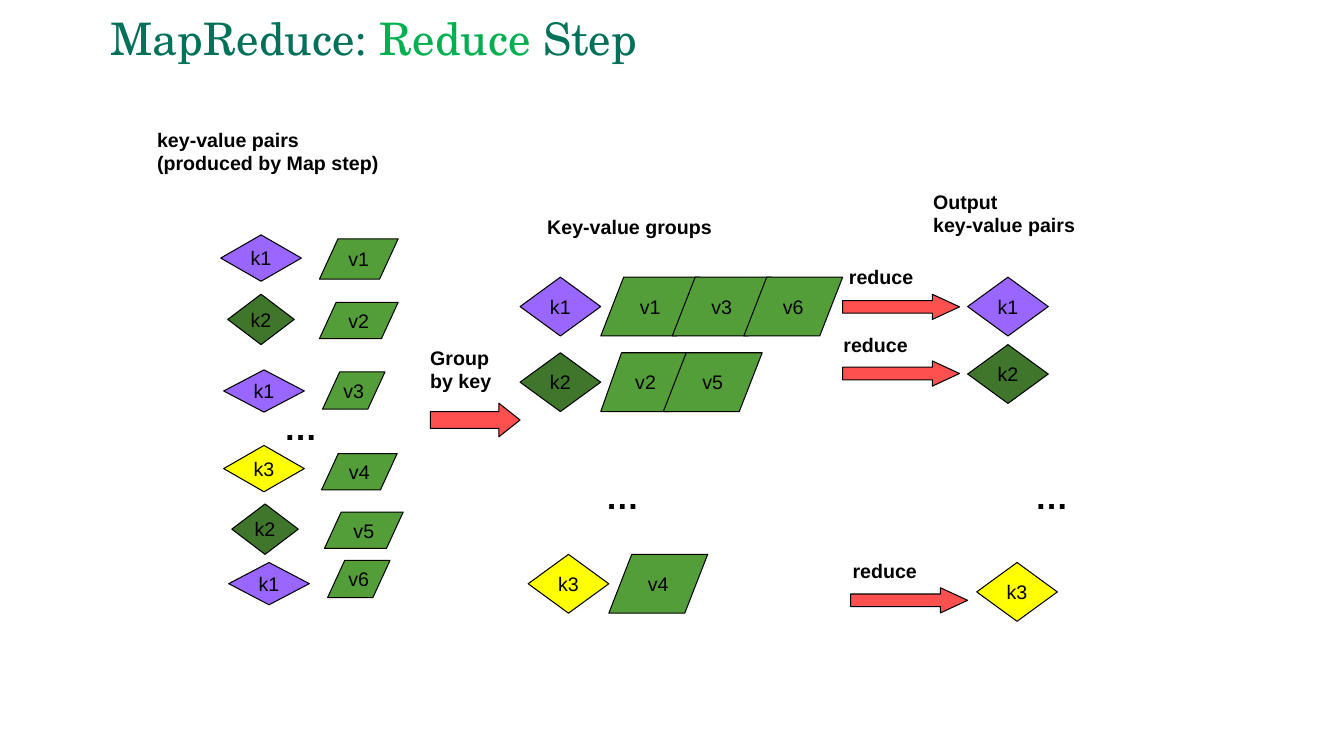
import pptx
import pptx.util
import pptx.dml.color
import pptx.enum.shapes
import pptx.enum.text

Pt = pptx.util.Pt
RGBColor = pptx.dml.color.RGBColor
MSO_SHAPE = pptx.enum.shapes.MSO_SHAPE
ANCHOR = pptx.enum.text.MSO_ANCHOR
ALIGN = pptx.enum.text.PP_ALIGN
AUTO_SIZE = pptx.enum.text.MSO_AUTO_SIZE

BLACK = RGBColor(0x00, 0x00, 0x00)
TEAL = RGBColor(0x02, 0x71, 0x59)
BRIGHT_GREEN = RGBColor(0x00, 0xB0, 0x50)
RED = RGBColor(0xFF, 0x50, 0x50)
VALUE_GREEN = RGBColor(0x54, 0x9E, 0x39)
PURPLE = RGBColor(0x99, 0x66, 0xFF)
DARK_GREEN = RGBColor(0x3F, 0x76, 0x2B)
YELLOW = RGBColor(0xFF, 0xFF, 0x00)
KEY_COLORS = {"k1": PURPLE, "k2": DARK_GREEN, "k3": YELLOW}

KEY_W, ROW_H = 57.6, 42
VALUE_W = 70.6

MAPPED_PAIRS = [
    ("k1", (157.7, 167.8, KEY_W, 33.1), "v1", (228.2, 170.6, 56.2, 28.8)),
    ("k2", (162.7, 210.2, 47.5, 36), "v2", (228.2, 216, 56.2, 25.9)),
    ("k1", (159.8, 264.2, KEY_W, 30.2), "v3", (230.4, 265.7, 44.6, 26.6)),
    ("k3", (159.8, 318.2, KEY_W, 33.1), "v4", (229.7, 324, 54, 25.9)),
    ("k2", (165.6, 360, 47.5, 36), "v5", (231.8, 365.8, 56.2, 25.9)),
    ("k1", (163.4, 401.8, KEY_W, 30.2), "v6", (234, 400.3, 44.6, 26.6)),
]
GROUPS = [
    ("k1", 371.5, 198, ["v1", "v3", "v6"], 51.1, VALUE_W),
    ("k2", 371.5, 252, ["v2", "v5"], 44.7, 64.1),
    ("k3", 377.3, 396, ["v4"], 0, VALUE_W),
]
REDUCTIONS = [
    ("k1", (691.2, 198), (601.9, 210.2), (599.3, 185.8)),
    ("k2", (691.2, 246.2), (601.9, 257.8), (595.4, 234)),
    ("k3", (697.7, 401.8), (607.7, 419.8), (601.9, 396)),
]
HEADINGS = [
    (["key-value pairs", "(produced by Map step)"], (105.1, 87.8, 266.4, 40.3)),
    (["Group", "by key"], (300.2, 243.4, 66, 40.3)),
    (["Key-value groups"], (383.8, 149.8, 198.7, 24)),
    (["Output", "key-value pairs"], (659.5, 131.8, 172.8, 40.3)),
]
ELLIPSES = [(195.8, 287.3), (425.5, 336.2), (732.2, 336.2)]


def add_run(p, text, size=14, color=BLACK, bold=False, name="Arial"):
    """Append a formatted run to a paragraph."""
    r = p.add_run()
    r.text = text
    r.font.color.rgb = color
    for key, value in {"size": Pt(size), "bold": bold, "name": name}.items():
        setattr(r.font, key, value)


def add_shape(s, kind, box, fill, adj=None, text=None):
    """Add an outlined shape with an optional centred label."""
    sp = s.shapes.add_shape(kind, *map(Pt, box))
    sp.shadow.inherit = False
    sp.fill.solid()
    sp.fill.fore_color.rgb = fill
    sp.line.color.rgb = BLACK
    sp.line.width = Pt(0.75)
    for i, value in enumerate(adj or []):
        sp.adjustments[i] = value
    if text:
        tf = sp.text_frame
        tf.word_wrap = False
        tf.vertical_anchor = ANCHOR.MIDDLE
        p = tf.paragraphs[0]
        p.alignment = ALIGN.CENTER
        add_run(p, text)


def add_key(s, text, box):
    """Add a key diamond in its key's colour."""
    add_shape(s, MSO_SHAPE.DIAMOND, box, KEY_COLORS[text], text=text)


def add_value(s, text, box, slant):
    """Add a value parallelogram."""
    add_shape(s, MSO_SHAPE.PARALLELOGRAM, box, VALUE_GREEN, [slant], text)


def add_arrow(s, box, head):
    """Add a red block arrow."""
    add_shape(s, MSO_SHAPE.RIGHT_ARROW, box, RED, [0.5, head])


def add_label(s, lines, box, size=14, wrap=False):
    """Add a bold text box with one paragraph per line."""
    tf = s.shapes.add_textbox(*map(Pt, box)).text_frame
    for key, value in {"word_wrap": wrap, "auto_size": AUTO_SIZE.SHAPE_TO_FIT_TEXT}.items():
        setattr(tf, key, value)
    for i, line in enumerate(lines):
        p = tf.add_paragraph() if i else tf.paragraphs[0]
        add_run(p, line, size, bold=True)


def add_title(s):
    """Add the three-part coloured title."""
    tf = s.shapes.add_textbox(Pt(72), Pt(7.9), Pt(777.6), Pt(42.5)).text_frame
    tf.word_wrap = True
    tf.vertical_anchor = ANCHOR.MIDDLE
    p = tf.paragraphs[0]
    p.line_spacing = 0.9
    for text, color in [("MapReduce: ", TEAL), ("Reduce ", BRIGHT_GREEN), ("Step", TEAL)]:
        add_run(p, text, 32, color, name="TeX Gyre Schola")


def main():
    """Build and save the slide."""
    prs = pptx.Presentation()
    prs.slide_width, prs.slide_height = Pt(960), Pt(540)
    s = prs.slides.add_slide(prs.slide_layouts[6])
    add_title(s)
    for lines, box in HEADINGS:
        add_label(s, lines, box, wrap=True)
    for key, key_box, value, value_box in MAPPED_PAIRS:
        add_key(s, key, key_box)
        add_value(s, value, value_box, 0.46)
    add_arrow(s, (307.4, 288, 64.1, 24), 0.63)
    for key, x, y, values, step, first_w in GROUPS:
        add_key(s, key, (x, y, KEY_W, ROW_H))
        for i, value in enumerate(values):
            w = VALUE_W if i else first_w
            add_value(s, value, (x + KEY_W + i * step, y, w, ROW_H), 0.39 * w / VALUE_W)
    for key, key_at, arrow_at, label_at in REDUCTIONS:
        add_arrow(s, (*arrow_at, 83.5, 18), 1.08)
        add_label(s, ["reduce"], (*label_at, 60.5, 24))
        add_key(s, key, (*key_at, KEY_W, ROW_H))
    for x, y in ELLIPSES:
        add_label(s, ["…"], (x, y, 38.2, 36), 24)
    prs.save("out.pptx")


if __name__ == "__main__":
    main()
